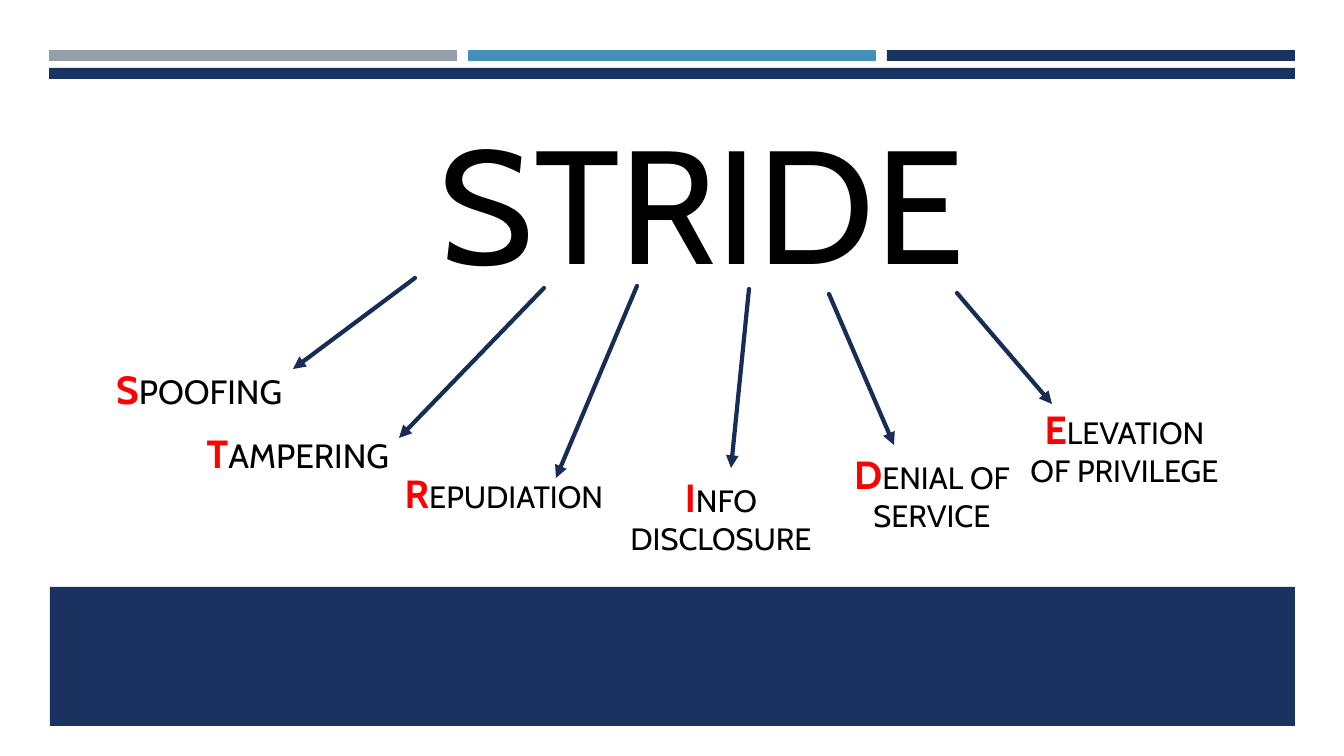
from dataclasses import dataclass

from lxml import etree
from pptx import Presentation
from pptx import util as u
from pptx.dml.color import RGBColor
from pptx.enum import shapes, text
from pptx.oxml import ns


@dataclass(frozen=True)
class Theme:
    font: str = "Cabin"
    navy: str = "1A3260"
    gray: str = "969FA7"
    blue: str = "4590B8"
    ink: str = "172D56"
    red: str = "FF0000"
    black: str = "000000"
    head: int = 115
    first: int = 28
    large: int = 24
    small: int = 22
    stroke: int = 3


class Deck:
    scale = 914400 / 100.8

    def __init__(self, theme):
        self.theme = theme
        self.show = Presentation()
        self.show.slide_width = self.px(1344)
        self.show.slide_height = self.px(756)
        self.slide = self.show.slides.add_slide(self.show.slide_layouts[6])

    def px(self, size):
        return u.Emu(round(size * self.scale))

    def apply(self, target, form):
        for name, value in form.items():
            setattr(target, name, value)

    def bar(self, box, color):
        shape = self.slide.shapes.add_shape(
            shapes.MSO_SHAPE.RECTANGLE, *map(self.px, box))
        shape.shadow.inherit = False
        shape.fill.solid()
        shape.fill.fore_color.rgb = RGBColor.from_string(color)
        shape.line.fill.background()

    def label(self, box, align, runs):
        frame = self.slide.shapes.add_textbox(*map(self.px, box)).text_frame
        self.apply(frame, {"word_wrap": True,
                           "auto_size": text.MSO_AUTO_SIZE.NONE,
                           "vertical_anchor": text.MSO_ANCHOR.BOTTOM})
        para = frame.paragraphs[0]
        para.alignment = align
        for words, size, color, bold in runs:
            run = para.add_run()
            run.text = words
            self.apply(run.font, {"name": self.theme.font,
                                  "size": u.Pt(size), "bold": bold})
            run.font.color.rgb = RGBColor.from_string(color)

    def term(self, box, align, word, size):
        look = self.theme
        self.label(box, align, [(word[0], look.first, look.red, True),
                                (word[1:], size, look.black, False)])

    def arrow(self, ends):
        line = self.slide.shapes.add_connector(
            shapes.MSO_CONNECTOR.STRAIGHT, *map(self.px, ends))
        line.line.width = u.Pt(self.theme.stroke)
        line.line.color.rgb = RGBColor.from_string(self.theme.ink)
        props = line.element.spPr
        edge = props.find(ns.qn("a:ln"))
        edge.set("cap", "rnd")
        etree.SubElement(edge, ns.qn("a:round"))
        etree.SubElement(edge, ns.qn("a:tailEnd"), type="triangle")
        etree.SubElement(props, ns.qn("a:effectLst"))


def main():
    look = Theme()
    deck = Deck(look)
    right, mid = text.PP_ALIGN.RIGHT, text.PP_ALIGN.CENTER

    for col, color in enumerate((look.gray, look.blue, look.navy)):
        deck.bar((49 + 419 * col, 50, 408, 11), color)
    deck.bar((49, 68, 1246, 11), look.navy)
    deck.bar((50, 587, 1245, 139), look.navy)

    deck.label((-19, 59, 993, 243), right,
               [("STRIDE", look.head, look.black, False)])

    terms = [
        ("SPOOFING", (-45, 174, 337, 243), right, look.large,
         (415, 278, 293, 369)),
        ("TAMPERING", (62, 238, 337, 243), right, look.large,
         (544, 288, 399, 438)),
        ("REPUDIATION", (386, 449, 227, 72), right, look.small,
         (637, 286, 556, 478)),
        ("INFO DISCLOSURE", (614, 444, 214, 118), mid, look.small,
         (749, 289, 731, 468)),
        ("DENIAL OF SERVICE", (834, 453, 196, 86), mid, look.small,
         (829, 294, 894, 445)),
        ("ELEVATION OF PRIVILEGE", (1013, 390, 223, 104), mid, look.small,
         (957, 293, 1052, 404)),
    ]
    for word, box, align, size, ends in terms:
        deck.arrow(ends)
        deck.term(box, align, word, size)

    deck.show.save("out.pptx")


if __name__ == "__main__":
    main()
